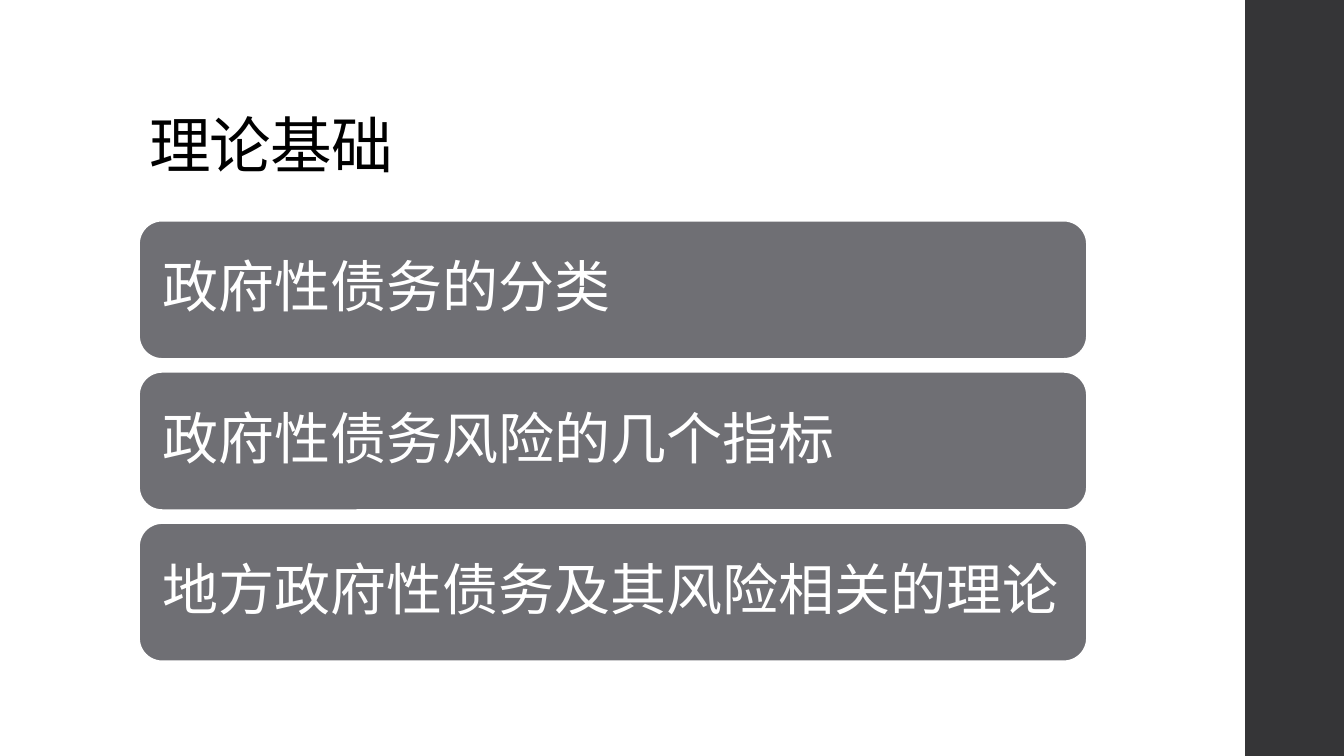
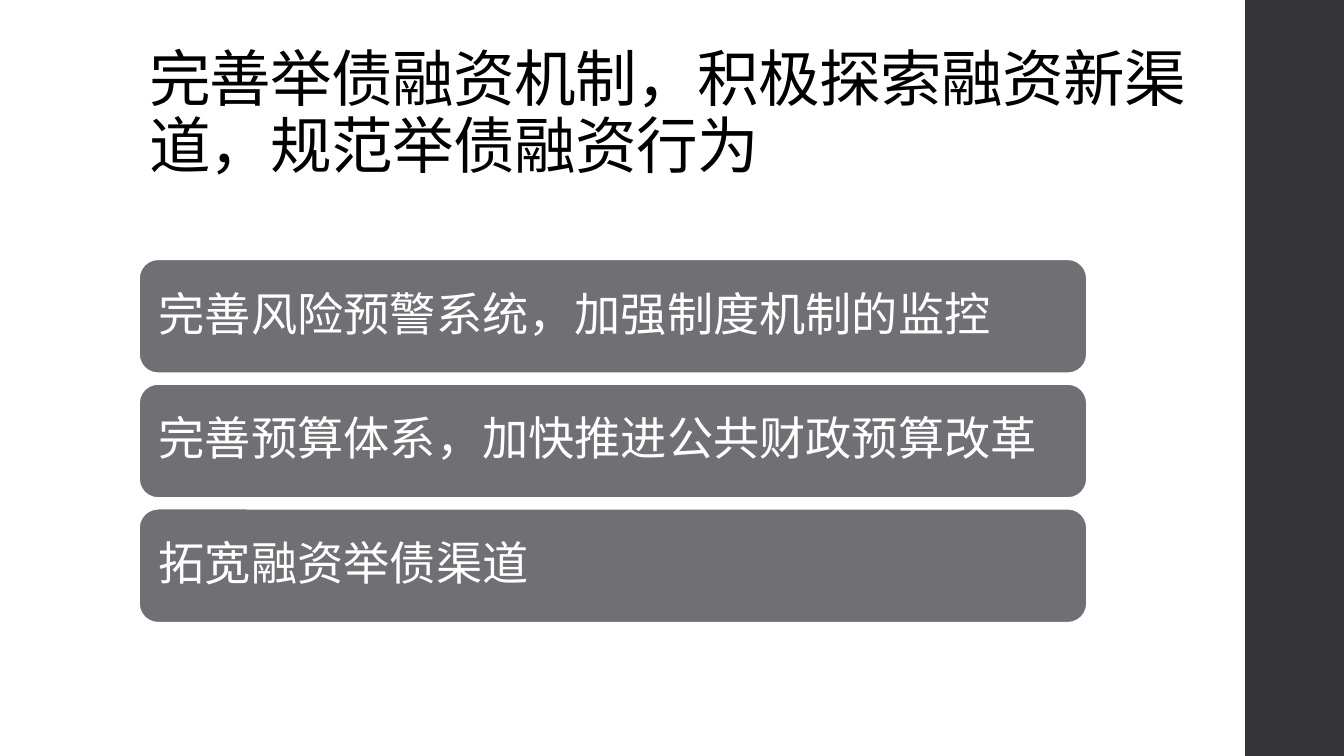
from dataclasses import dataclass

from lxml import etree
from pptx import Presentation
from pptx.dml.color import RGBColor
from pptx.enum.shapes import MSO_SHAPE
from pptx.enum.text import MSO_ANCHOR, PP_ALIGN
from pptx.oxml.ns import qn
from pptx.util import Inches, Pt

RECTANGLE = MSO_SHAPE.RECTANGLE
ROUNDED_RECTANGLE = MSO_SHAPE.ROUNDED_RECTANGLE
BOTTOM = MSO_ANCHOR.BOTTOM
MIDDLE = MSO_ANCHOR.MIDDLE
LEFT = PP_ALIGN.LEFT

BLACK = RGBColor(0x00, 0x00, 0x00)
WHITE = RGBColor(0xFF, 0xFF, 0xFF)
CHARCOAL = RGBColor(0x35, 0x35, 0x37)
GRAY = RGBColor(0x6F, 0x6F, 0x74)
FONT = "Noto Sans CJK SC"
TITLE_SIZE = 44
LINE_SPACING = 0.9

# Bar proportions, in inches, at the reference text size in points.
REFERENCE_SIZE = 40
BAR_HEIGHT = 1.37
BAR_GAP = 0.13
BAR_INSET = 0.17


@dataclass
class Box:
    left: float
    top: float
    width: float
    height: float

    def inches(self):
        return [Inches(value) for value in (self.left, self.top, self.width, self.height)]


SIDE_BAND = Box(12.35, 0, 1, 7.5)
TITLE_BOX = Box(1.38, 0.4, 10.6, 1.45)
LIST_BOX = Box(1.38, 2.19, 9.4, 4.37)

SLIDES = [
    ("理论基础", 40,
     ["政府性债务的分类", "政府性债务风险的几个指标", "地方政府性债务及其风险相关的理论"]),
    ("完善举债融资机制，积极探索融资新渠道，规范举债融资行为", 33,
     ["完善风险预警系统，加强制度机制的监控", "完善预算体系，加快推进公共财政预算改革", "拓宽融资举债渠道"]),
]


def write_text(text_frame, text, size, color, anchor):
    """Fill the frame with one left-aligned paragraph and return its run."""
    text_frame.text = text
    text_frame.word_wrap = True
    text_frame.vertical_anchor = anchor
    paragraph = text_frame.paragraphs[0]
    paragraph.alignment = LEFT
    paragraph.line_spacing = LINE_SPACING
    run = paragraph.runs[0]
    run.font.size = Pt(size)
    run.font.name = FONT
    run.font.color.rgb = color
    east_asian = etree.SubElement(run.font._element, qn("a:ea"))
    east_asian.set("typeface", FONT)
    return run


def add_filled_shape(slide, kind, box, color):
    shape = slide.shapes.add_shape(kind, *box.inches())
    shape.shadow.inherit = False
    shape.fill.solid()
    shape.fill.fore_color.rgb = color
    shape.line.fill.background()
    return shape


def add_title(slide, box, text):
    text_frame = slide.shapes.add_textbox(*box.inches()).text_frame
    run = write_text(text_frame, text, TITLE_SIZE, BLACK, BOTTOM)
    run.font._element.set("spc", "-50")


def add_bar(slide, box, text, size, inset):
    bar = add_filled_shape(slide, ROUNDED_RECTANGLE, box, GRAY)
    bar.line.color.rgb = WHITE
    bar.line.width = Pt(1.1)
    text_frame = bar.text_frame
    text_frame.margin_left = text_frame.margin_right = Inches(inset)
    text_frame.margin_top = text_frame.margin_bottom = Inches(inset)
    write_text(text_frame, text, size, WHITE, MIDDLE)


def add_bar_list(slide, box, items, size):
    """Stack bars scaled to the text size, centred vertically in the box."""
    scale = size / REFERENCE_SIZE
    height = BAR_HEIGHT * scale
    pitch = height + BAR_GAP * scale
    total = pitch * (len(items) - 1) + height
    top = box.top + (box.height - total) / 2
    for index, item in enumerate(items):
        bar_box = Box(box.left, top + index * pitch, box.width, height)
        add_bar(slide, bar_box, item, size, BAR_INSET * scale)


def add_list_slide(presentation, title, size, items):
    slide = presentation.slides.add_slide(presentation.slide_layouts[6])
    slide.background.fill.solid()
    slide.background.fill.fore_color.rgb = WHITE
    add_filled_shape(slide, RECTANGLE, SIDE_BAND, CHARCOAL)
    add_title(slide, TITLE_BOX, title)
    add_bar_list(slide, LIST_BOX, items, size)


def main():
    presentation = Presentation()
    presentation.slide_width = Inches(13.33)
    presentation.slide_height = Inches(7.5)
    for title, size, items in SLIDES:
        add_list_slide(presentation, title, size, items)
    presentation.save("out.pptx")


if __name__ == "__main__":
    main()
